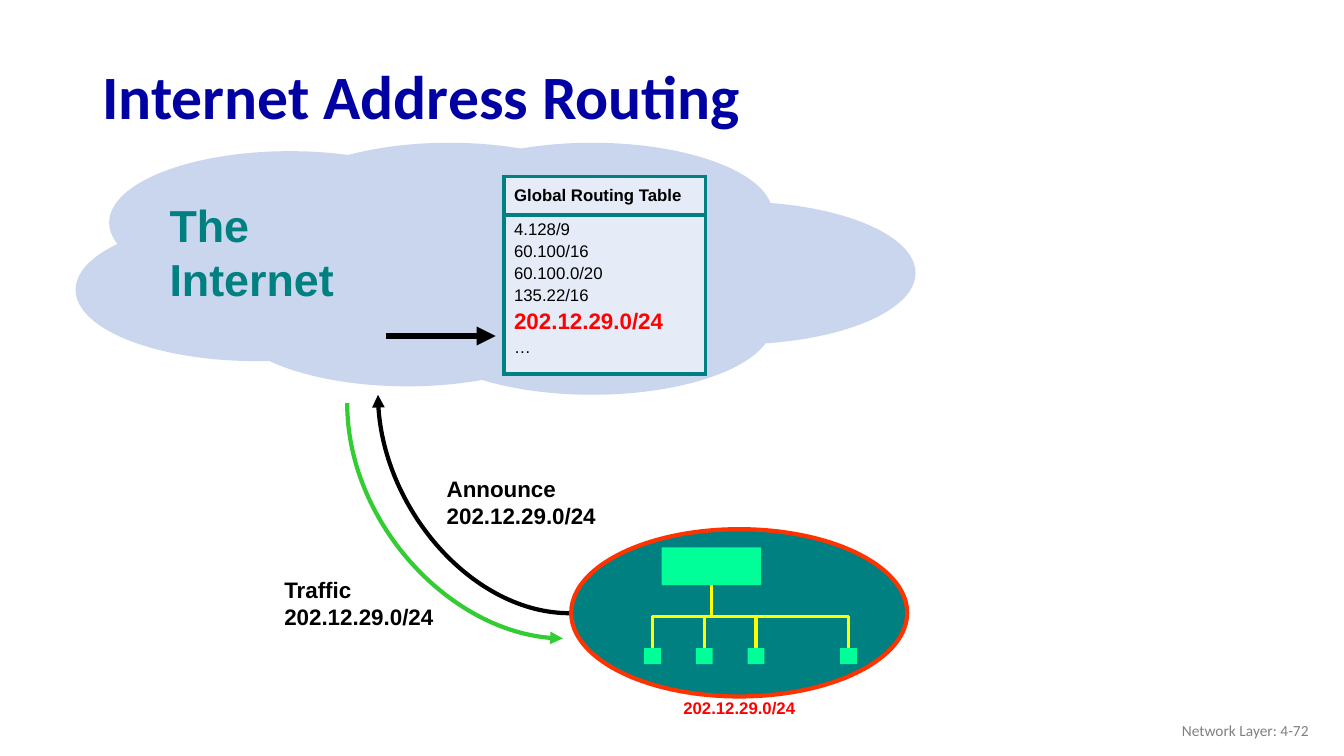
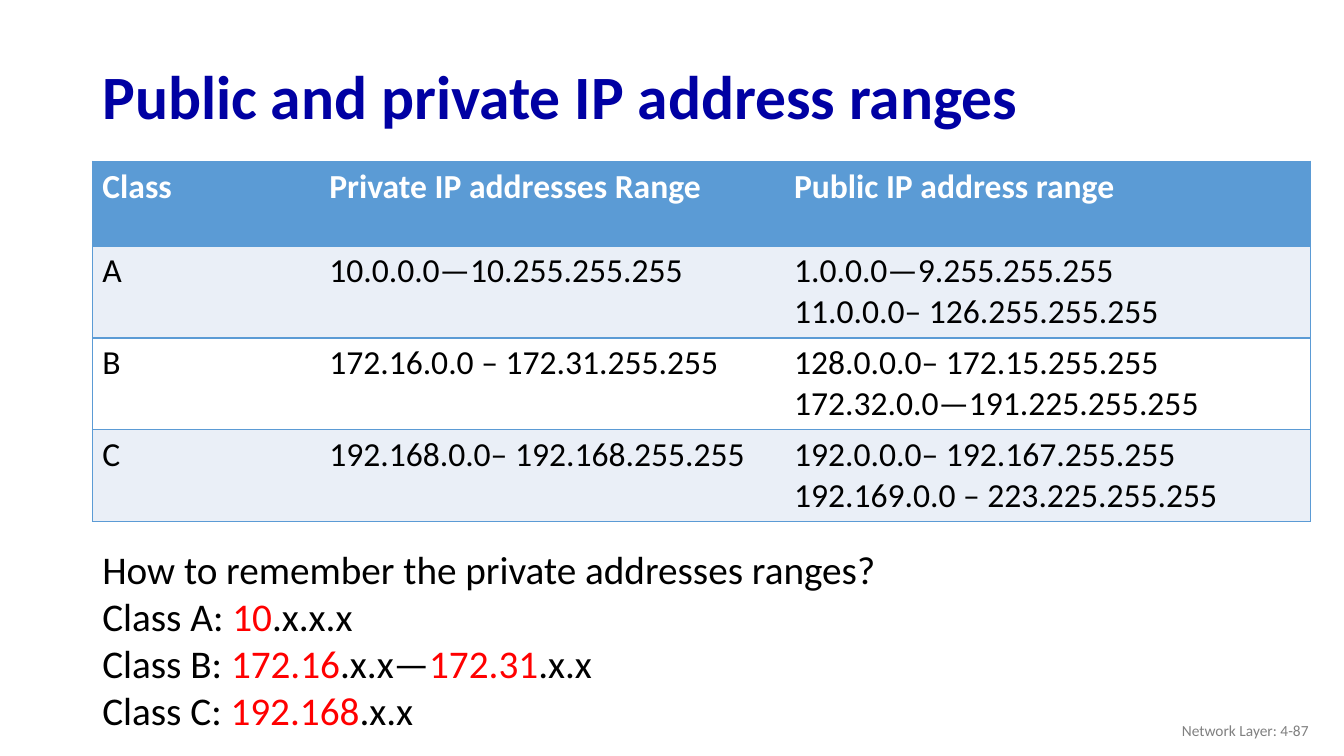
from pptx import Presentation
from pptx.dml.color import RGBColor
from pptx.enum.shapes import MSO_CONNECTOR, MSO_SHAPE
from pptx.enum.text import MSO_ANCHOR, PP_ALIGN
from pptx.oxml.ns import qn
from pptx.util import Pt
from lxml.etree import SubElement

HUES = {
    "navy": "0000A3", "gray": "808080", "black": "000000", "white": "FFFFFF",
    "teal": "008080", "cloud": "C9D6ED", "pale": "E5EBF7", "green": "33CC33",
    "mint": "00FF99", "yellow": "FFFF00", "orange": "FF3300", "red": "FF0000",
    "rose": "FF0101", "blue": "5B9BD5", "band": "EAEFF7",
}


def style(face, size, hue="black", bold=False):
    """Return a dict of font values."""
    return {"name": face, "size": Pt(size), "bold": bold, "hue": hue}


FONTS = {
    "title": style("Calibri", 44, "navy", True),
    "foot": style("Calibri", 11, "gray"),
    "cloud": style("Arial", 32, "teal", True),
    "label": style("Arial", 16, "black", True),
    "net": style("Arial", 12, "rose", True),
    "head": style("Arial", 12, "black", True),
    "route": style("Arial", 12),
    "own": style("Arial", 16, "rose", True),
    "top": style("Calibri", 24, "white", True),
    "cell": style("Calibri", 24),
    "body": style("Calibri", 28),
}


def rgb(hue):
    """Look up a colour."""
    return RGBColor.from_string(HUES[hue])


def dress(font, look):
    """Apply a dict of font values."""
    for key, value in look.items():
        if key == "hue":
            font.color.rgb = rgb(value)
        else:
            setattr(font, key, value)


def write(frame, lines, look):
    """Fill a text frame; every second run of a line is red."""
    for i, line in enumerate(lines):
        para = frame.paragraphs[0] if i == 0 else frame.add_paragraph()
        for j, part in enumerate([line] if isinstance(line, str) else line):
            run = para.add_run()
            run.text = part
            dress(run.font, {**FONTS[look], "hue": "red"} if j % 2 else FONTS[look])


def text(slide, box, lines, look, anchor=MSO_ANCHOR.TOP):
    """Add a wrapped text box."""
    frame = slide.shapes.add_textbox(*map(Pt, box)).text_frame
    frame.word_wrap = True
    frame.vertical_anchor = anchor
    write(frame, lines, look)
    return frame.paragraphs[0]


def shape(slide, kind, box, fill, edge=None):
    """Add a filled preset shape."""
    item = slide.shapes.add_shape(kind, *map(Pt, box))
    item.shadow.inherit = False
    item.fill.solid()
    item.fill.fore_color.rgb = rgb(fill)
    if edge:
        item.line.color.rgb = rgb(edge)
        item.line.width = Pt(3)
    else:
        item.line.fill.background()


def link(slide, kind, box, hue, width, end=None, turn=0, flip=False):
    """Add a connector in a box, with an optional arrowhead and turn."""
    x, y, w, h = box
    item = slide.shapes.add_connector(MSO_CONNECTOR.STRAIGHT, *map(Pt, (x, y, x + w, y + h)))
    item.line.color.rgb = rgb(hue)
    item.line.width = Pt(width)
    props = item._element.spPr
    props.find(qn("a:prstGeom")).set("prst", kind)
    frame = props.find(qn("a:xfrm"))
    frame.set("rot", str(turn * 60000))
    if flip:
        frame.set("flipH", "1")
    if end:
        SubElement(props.find(qn("a:ln")), qn("a:" + end)).set("type", "triangle")
    SubElement(props, qn("a:effectLst"))


def drop(slide, start, stop):
    """Add an elbow that leaves downwards."""
    (x, y), (u, v) = start, stop
    w, h = abs(u - x), v - y
    box = ((x + u - h) / 2, (y + v - w) / 2, h, w)
    right = u > x
    link(slide, "bentConnector3", box, "yellow", 2.25, turn=270 if right else 90, flip=right)


def paint(cell, fill, hue, width, sides):
    """Set the borders and fill of a cell."""
    props = cell._tc.get_or_add_tcPr()
    for side in "LRTB":
        line = SubElement(props, qn("a:ln" + side), w=str(int(Pt(width))))
        if side in sides:
            tint = SubElement(line, qn("a:solidFill"))
            SubElement(tint, qn("a:srgbClr"), val=HUES[hue])
        else:
            SubElement(line, qn("a:noFill"))
    cell.fill.solid()
    cell.fill.fore_color.rgb = rgb(fill)


def grid(slide, x, y, cols, rows):
    """Add an empty table with given column widths and row heights."""
    box = (x, y, sum(cols), sum(rows))
    table = slide.shapes.add_table(len(rows), len(cols), *map(Pt, box)).table
    table.horz_banding = False
    for col, width in zip(table.columns, cols):
        col.width = Pt(width)
    for row, height in zip(table.rows, rows):
        row.height = Pt(height)
    return table


def page(deck, title, number):
    """Add a slide with its title and footer."""
    slide = deck.slides.add_slide(deck.slide_layouts[6])
    head = text(slide, (66, 35.5, 828, 70.5), [title], "title", MSO_ANCHOR.MIDDLE)
    head.line_spacing = 0.9
    foot = text(slide, (726, 507.5, 216, 29), [f"Network Layer: 4-{number}"], "foot", MSO_ANCHOR.MIDDLE)
    foot.alignment = PP_ALIGN.RIGHT
    return slide


def cloud(slide):
    """Draw the Internet cloud."""
    puffs = [(54, 156), (162, 174), (192, 102), (78, 108), (294, 102), (294, 180), (396, 144)]
    for x, y in puffs:
        shape(slide, MSO_SHAPE.OVAL, (x, y, 258, 102), "cloud")
    text(slide, (114, 138, 165, 84), ["The Internet"], "cloud")


def routes(slide):
    """Draw the global routing table."""
    table = grid(slide, 360, 126, [144], [27.4, 113.8])
    head, body = table.cell(0, 0), table.cell(1, 0)
    for cell in (head, body):
        paint(cell, "pale", "teal", 3, "LRTB")
    head.vertical_anchor = MSO_ANCHOR.MIDDLE
    write(head.text_frame, ["Global Routing Table"], "head")
    lines = ["4.128/9", "60.100/16", "60.100.0/20", "135.22/16", "202.12.29.0/24", "…"]
    write(body.text_frame, lines, "route")
    paras = body.text_frame.paragraphs
    dress(paras[4].runs[0].font, FONTS["own"])
    for para in paras[1:]:
        para.space_before = Pt(para.runs[0].font.size.pt * 0.2)


def site(slide):
    """Draw the network that announces its prefix."""
    shape(slide, MSO_SHAPE.OVAL, (408, 378, 240, 119.5), "teal", "orange")
    shape(slide, MSO_SHAPE.RECTANGLE, (472.5, 391, 71, 27), "mint")
    hosts = (466, 503, 540, 606)
    for x in hosts:
        shape(slide, MSO_SHAPE.RECTANGLE, (x - 6, 463, 12, 11.5), "mint")
    for x in hosts:
        drop(slide, (508, 418), (x, 463))
    text(slide, (481, 494.5, 100, 22), ["202.12.29.0/24"], "net")


def ranges(slide):
    """Draw the table of address ranges."""
    rows = [
        (["Class"], ["Private IP addresses Range"], ["Public IP address range"]),
        (["A"], ["10.0.0.0—10.255.255.255"],
         ["1.0.0.0—9.255.255.255", "11.0.0.0– 126.255.255.255"]),
        (["B"], ["172.16.0.0 – 172.31.255.255"],
         ["128.0.0.0– 172.15.255.255", "172.32.0.0—191.225.255.255"]),
        (["C"], ["192.168.0.0– 192.168.255.255"],
         ["192.0.0.0– 192.167.255.255", "192.169.0.0 – 223.225.255.255"]),
    ]
    table = grid(slide, 66, 115.2, [162, 332, 376], [60.5] + [65.7] * 3)
    for i, row in enumerate(rows):
        fill = "blue" if i == 0 else "band" if i % 2 else "white"
        for j, lines in enumerate(row):
            cell = table.cell(i, j)
            paint(cell, fill, "blue", 1, ("LTB", "TB", "RTB")[j])
            write(cell.text_frame, lines, "cell" if i else "top")


def main():
    """Build and save the deck."""
    deck = Presentation()
    deck.slide_width, deck.slide_height = Pt(960), Pt(540)

    slide = page(deck, "Internet Address Routing", 72)
    link(slide, "curvedConnector2", (248, 288, 154, 168), "green", 3, "headEnd", 180)
    text(slide, (196, 408, 132, 46), ["Traffic", "202.12.29.0/24"], "label")
    cloud(slide)
    routes(slide)
    text(slide, (312, 336, 125, 46), ["Announce", "202.12.29.0/24"], "label")
    link(slide, "curvedConnector2", (270, 282, 137, 156), "black", 3, "tailEnd", 180)
    link(slide, "line", (276, 240, 78, 0), "black", 4.5, "tailEnd")
    site(slide)

    slide = page(deck, "Public and private IP address ranges", 87)
    ranges(slide)
    notes = [
        "How to remember the private addresses ranges?",
        ["Class A: ", "10", ".x.x.x"],
        ["Class B: ", "172.16", ".x.x—", "172.31", ".x.x"],
        ["Class C: ", "192.168", ".x.x"],
    ]
    text(slide, (66, 386, 660, 143), notes, "body")
    deck.save("out.pptx")


if __name__ == "__main__":
    main()
